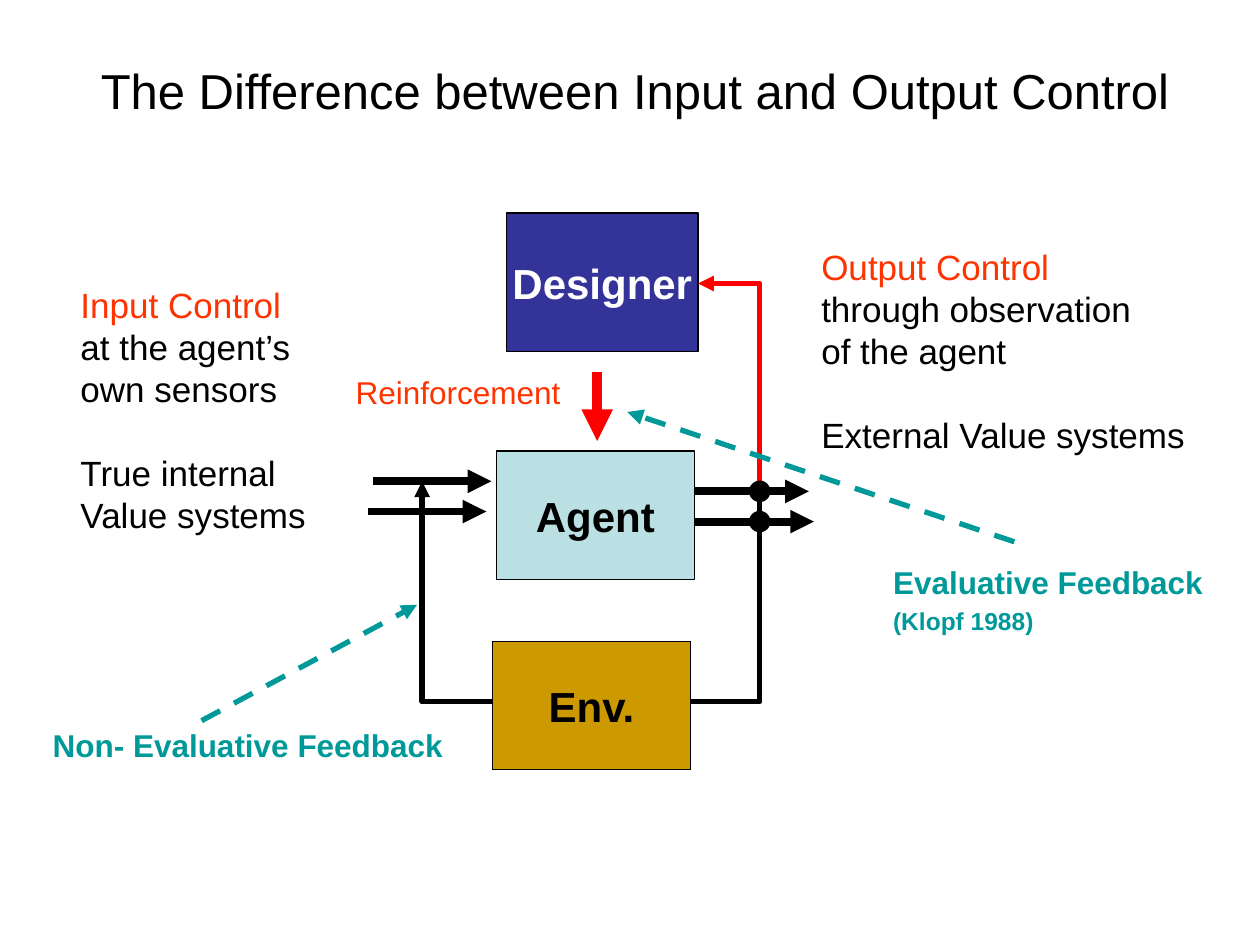
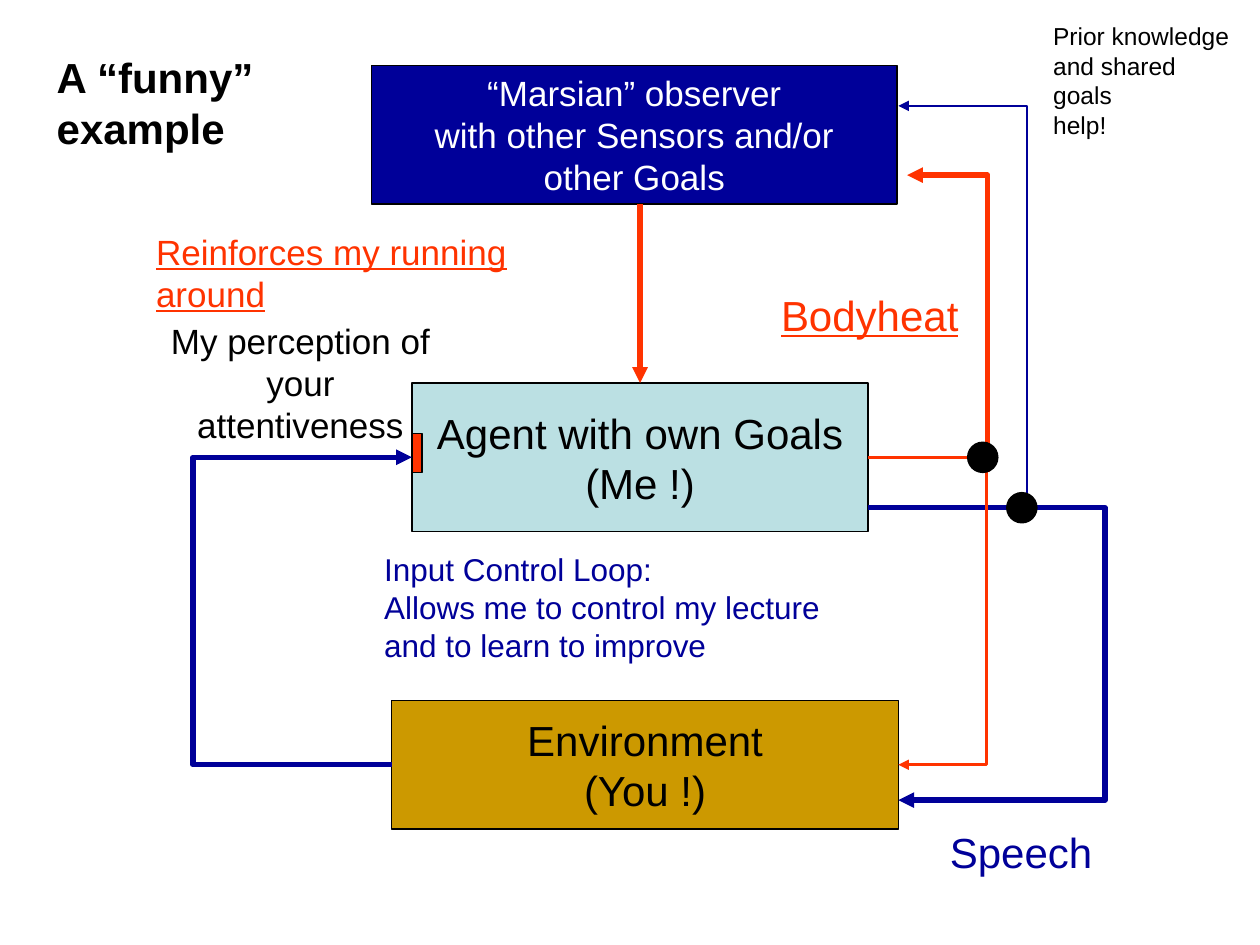
import dataclasses
import typing

import pptx
import pptx.dml.color
import pptx.enum.dml
import pptx.enum.shapes
import pptx.enum.text
import pptx.oxml
import pptx.oxml.ns
import pptx.util

RGB = pptx.dml.color.RGBColor
SHAPE = pptx.enum.shapes.MSO_SHAPE
CONNECTOR = pptx.enum.shapes.MSO_CONNECTOR
ALIGN = pptx.enum.text.PP_ALIGN
ANCHOR = pptx.enum.text.MSO_ANCHOR
AUTO_SIZE = pptx.enum.text.MSO_AUTO_SIZE

BLACK = RGB(0x00, 0x00, 0x00)
WHITE = RGB(0xFF, 0xFF, 0xFF)
RED = RGB(0xFF, 0x00, 0x00)
ORANGE = RGB(0xFF, 0x33, 0x00)
TEAL = RGB(0x00, 0x99, 0x99)
INDIGO = RGB(0x33, 0x33, 0x99)
NAVY = RGB(0x00, 0x00, 0x99)
PALE_BLUE = RGB(0xBB, 0xE0, 0xE3)
OCHRE = RGB(0xCC, 0x99, 0x00)

FONT = "Arial"
PX = 9144  # EMU per px, 100 px to the inch
TITLE_ONLY = 5

Point = tuple[int, int]
Area = tuple[int, int, int, int]


@dataclasses.dataclass(frozen=True)
class TextStyle:
    size: int
    color: RGB = BLACK
    bold: bool = False
    underline: bool = False
    align: ALIGN = ALIGN.LEFT


@dataclasses.dataclass(frozen=True)
class Box:
    area: Area
    fill: RGB
    text: str = ""
    style: TextStyle = TextStyle(24, align=ALIGN.CENTER)
    kind: SHAPE = SHAPE.RECTANGLE


@dataclasses.dataclass(frozen=True)
class Label:
    area: Area
    text: str
    style: TextStyle
    wrap: bool = False


@dataclasses.dataclass(frozen=True)
class Stroke:
    color: RGB
    weight: float
    dashed: bool = False


BOX_BOLD = TextStyle(24, bold=True, align=ALIGN.CENTER)
FEEDBACK = Stroke(TEAL, 3, dashed=True)
SIGNAL = Stroke(BLACK, 4.5)


def emu(*lengths: int) -> list[int]:
    return [length * PX for length in lengths]


def write(text_frame, text: str, style: TextStyle, wrap: bool = False) -> None:
    text_frame.text = text
    text_frame.word_wrap = wrap
    for paragraph in text_frame.paragraphs:
        paragraph.alignment = style.align
        for run in paragraph.runs:
            run.font.name = FONT
            run.font.size = pptx.util.Pt(style.size)
            run.font.bold = style.bold
            run.font.underline = style.underline
            run.font.color.rgb = style.color


def draw_title(slide, label: Label) -> None:
    title = slide.shapes.title
    title.left, title.top, title.width, title.height = emu(*label.area)
    title.text_frame.vertical_anchor = ANCHOR.TOP
    title.text_frame.auto_size = AUTO_SIZE.SHAPE_TO_FIT_TEXT
    write(title.text_frame, label.text, label.style)


def draw_label(slide, label: Label):
    shape = slide.shapes.add_textbox(*emu(*label.area))
    shape.text_frame.auto_size = AUTO_SIZE.SHAPE_TO_FIT_TEXT
    write(shape.text_frame, label.text, label.style, label.wrap)
    return shape


def draw_box(slide, box: Box):
    shape = slide.shapes.add_shape(box.kind, *emu(*box.area))
    shape.shadow.inherit = False
    shape.fill.solid()
    shape.fill.fore_color.rgb = box.fill
    shape.line.color.rgb = BLACK
    shape.line.width = pptx.util.Pt(0.75)
    if box.text:
        shape.text_frame.vertical_anchor = ANCHOR.MIDDLE
        write(shape.text_frame, box.text, box.style)
    return shape


def draw_dot(slide, center: Point, size: int) -> None:
    x, y = center
    area = (x - size // 2, y - size // 2, size, size)
    draw_box(slide, Box(area, BLACK, kind=SHAPE.OVAL))


def apply_stroke(shape, stroke: Stroke) -> None:
    """Set the line's look and put an arrowhead at its far end."""
    shape.line.color.rgb = stroke.color
    shape.line.width = pptx.util.Pt(stroke.weight)
    if stroke.dashed:
        shape.line.dash_style = pptx.enum.dml.MSO_LINE.DASH
    outline = shape.element.spPr.find(pptx.oxml.ns.qn("a:ln"))
    outline.append(pptx.oxml.parse_xml(
        f'<a:tailEnd {pptx.oxml.ns.nsdecls("a")} type="triangle"/>'))


def draw_connector(slide, kind: CONNECTOR, start: Point, end: Point, stroke: Stroke):
    connector = slide.shapes.add_connector(kind, *emu(*start, *end))
    apply_stroke(connector, stroke)
    connector.element.spPr.append(pptx.oxml.parse_xml(
        f'<a:effectLst {pptx.oxml.ns.nsdecls("a")}/>'))
    return connector


def draw_arrow(slide, start: Point, end: Point, stroke: Stroke):
    return draw_connector(slide, CONNECTOR.STRAIGHT, start, end, stroke)


def draw_elbow(slide, start: Point, end: Point, turn_x: int, stroke: Stroke):
    """Draw a three-part elbow whose upright part stands at turn_x."""
    connector = draw_connector(slide, CONNECTOR.ELBOW, start, end, stroke)
    bend = round(100000 * (turn_x - start[0]) / (end[0] - start[0]))
    geometry = connector.element.spPr.find(pptx.oxml.ns.qn("a:prstGeom"))
    for old_values in geometry.findall(pptx.oxml.ns.qn("a:avLst")):
        geometry.remove(old_values)
    geometry.append(pptx.oxml.parse_xml(
        f'<a:avLst {pptx.oxml.ns.nsdecls("a")}>'
        f'<a:gd name="adj1" fmla="val {bend}"/></a:avLst>'))
    return connector


def draw_route(slide, points: typing.Sequence[Point], stroke: Stroke) -> None:
    """Draw an open outline through the points, ending in an arrowhead."""
    builder = slide.shapes.build_freeform(*points[0], scale=float(PX))
    builder.add_line_segments(points[1:], close=False)
    route = builder.convert_to_shape()
    route.fill.background()
    apply_stroke(route, stroke)
    route.shadow.inherit = False


def build_control_slide(slide) -> None:
    draw_title(slide, Label((70, 43, 871, 57),
                            "The Difference between Input and Output Control",
                            TextStyle(28)))

    designer_style = dataclasses.replace(BOX_BOLD, color=WHITE)
    for box in (
        Box((402, 169, 152, 110), INDIGO, "Designer", designer_style),
        Box((394, 358, 157, 102), PALE_BLUE, "Agent", BOX_BOLD),
        Box((391, 509, 157, 102), OCHRE, "Env.", BOX_BOLD),
    ):
        draw_box(slide, box)

    output_x = 603
    draw_route(slide, [(output_x, 417), (output_x, 225), (554, 225)], Stroke(RED, 3))
    draw_route(slide, [(output_x, 389), (output_x, 557), (391, 557)][:2]
               + [(335, 557), (335, 382)], Stroke(BLACK, 3))
    draw_box(slide, Box((391, 509, 157, 102), OCHRE, "Env.", BOX_BOLD))

    draw_arrow(slide, (474, 295), (474, 350), Stroke(RED, 6))
    for start, end in (
        ((296, 382), (390, 382)),
        ((292, 406), (386, 406)),
        ((551, 390), (642, 390)),
        ((552, 414), (646, 414)),
    ):
        draw_arrow(slide, start, end, SIGNAL)
    for dot_y in (390, 414):
        draw_dot(slide, (output_x, dot_y), 16)
    draw_arrow(slide, (805, 430), (498, 327), FEEDBACK)
    draw_arrow(slide, (160, 572), (331, 480), FEEDBACK)

    for label in (
        Label((642, 190, 310, 177),
              "Output Control\nthrough observation\nof the agent\nExternal Value systems",
              TextStyle(20)),
        Label((54, 220, 201, 210),
              "Input Control\nat the agent’s\nown sensors\nTrue internal\nValue systems",
              TextStyle(20)),
    ):
        paragraphs = draw_label(slide, label).text_frame.paragraphs
        paragraphs[0].runs[0].font.color.rgb = ORANGE
        paragraphs[3].space_before = pptx.util.Pt(24)

    teal_bold = TextStyle(18, TEAL, bold=True)
    evaluative = draw_label(slide, Label((699, 442, 266, 68),
                                         "Evaluative Feedback\n(Klopf 1988)", teal_bold))
    citation = evaluative.text_frame.paragraphs[1]
    citation.space_before = pptx.util.Pt(2.8)
    citation.runs[0].font.size = pptx.util.Pt(14)
    draw_label(slide, Label((32, 571, 330, 40), "Non- Evaluative Feedback", teal_bold))
    draw_label(slide, Label((272, 291, 183, 40), "Reinforcement",
                            TextStyle(18, ORANGE, align=ALIGN.CENTER)))


def build_example_slide(slide) -> None:
    draw_title(slide, Label((35, 36, 177, 90), "A “funny”\nexample",
                            TextStyle(24, bold=True)))

    agent = draw_box(slide, Box((327, 304, 362, 118), PALE_BLUE,
                                "Agent with own Goals\n(Me !)"))
    environment = draw_box(slide, Box((311, 556, 402, 102), OCHRE,
                                      "Environment\n(You !)"))
    draw_box(slide, Box((295, 52, 417, 110), NAVY,
                        "“Marsian” observer\nwith other Sensors and/or\nother Goals",
                        TextStyle(20, WHITE, align=ALIGN.CENTER)))
    draw_box(slide, Box((327, 344, 8, 31), ORANGE))

    perception = draw_elbow(slide, (311, 607), (327, 363), 153, Stroke(NAVY, 3))
    perception.begin_connect(environment, 1)
    perception.end_connect(agent, 1)
    draw_elbow(slide, (689, 403), (713, 635), 877, Stroke(NAVY, 3))
    body_heat = draw_elbow(slide, (689, 363), (713, 607), 783, Stroke(ORANGE, 1.5))
    body_heat.begin_connect(agent, 3)
    body_heat.end_connect(environment, 3)
    reinforcement = draw_arrow(slide, (508, 162), (508, 304), Stroke(ORANGE, 3))
    reinforcement.end_connect(agent, 0)

    draw_route(slide, [(815, 406), (815, 84), (713, 84)], Stroke(NAVY, 0.75))
    draw_route(slide, [(784, 375), (784, 139), (720, 139)], Stroke(ORANGE, 3))
    for center in ((811, 403), (780, 363)):
        draw_dot(slide, center, 24)

    for label in (
        Label((100, 249, 277, 110), "My perception of your\nattentiveness",
              TextStyle(20, align=ALIGN.CENTER), wrap=True),
        Label((744, 651, 133, 50), "Speech", TextStyle(24, NAVY)),
        Label((295, 432, 366, 100),
              "Input Control Loop:\nAllows me to control my lecture\nand to learn to improve",
              TextStyle(18, NAVY)),
        Label((826, 12, 165, 104), "Prior knowledge\nand shared goals\nhelp!",
              TextStyle(14), wrap=True),
        Label((114, 178, 360, 77), "Reinforces my running around",
              TextStyle(20, ORANGE, underline=True), wrap=True),
        Label((610, 225, 161, 50), "Bodyheat", TextStyle(24, ORANGE, underline=True)),
    ):
        draw_label(slide, label)


def main() -> None:
    presentation = pptx.Presentation()
    presentation.slide_width, presentation.slide_height = emu(1000, 750)
    layout = presentation.slide_layouts[TITLE_ONLY]
    for build in (build_control_slide, build_example_slide):
        build(presentation.slides.add_slide(layout))
    presentation.save("out.pptx")


if __name__ == "__main__":
    main()
